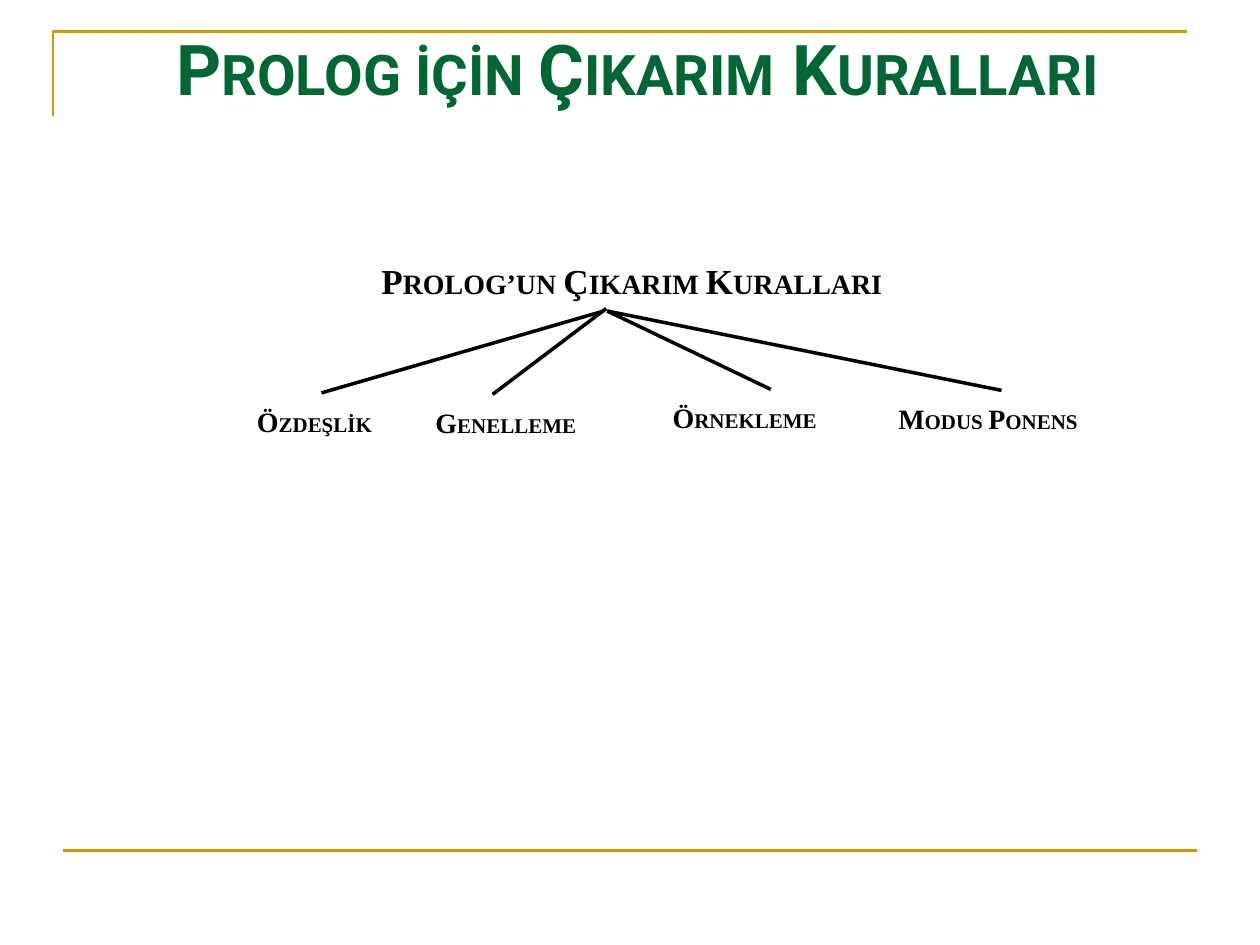
from lxml.etree import SubElement
from pptx import Presentation
from pptx.dml.color import RGBColor as Color
from pptx.enum.shapes import MSO_CONNECTOR as Connector, MSO_SHAPE as Shape
from pptx.enum.text import MSO_ANCHOR as Anchor, PP_ALIGN as Align
from pptx.oxml.ns import qn
from pptx.util import Cm, Pt

# Content: "|" switches between large and small capitals; lengths are in cm
TITLE = ("P|ROLOG İÇİN |Ç|IKARIM| K|URALLARI ", (0.89, 0.33, 24.21, 2.06))
ROOT = ("P|ROLOG’UN |Ç|IKARIM |K|URALLARI", (7.44, 4.98, 11.68, 1.17))
# Rule name, its box, start of its branch, x of the branch end
RULES = [
    ("Ö|ZDEŞLİK", (4.93, 7.92, 3.1, 0.79), (12.17, 6.27), 6.48),
    ("G|ENELLEME", (8.53, 7.95, 4.6, 0.79), (12.22, 6.22), 9.93),
    ("Ö|RNEKLEME", (13.31, 7.85, 4.5, 0.99), (12.24, 6.27), 15.54),
    ("M|ODUS |P|ONENS", (17.86, 7.87, 4.65, 1.04), (12.24, 6.27), 20.19),
]
CORNER = [(1.07, 2.34), (1.07, 0.64), (23.93, 0.64)]
FOOT_RULE = [(1.27, 17.15), (24.13, 17.15)]

BLACK = Color.from_string("000000")
THEME = {
    "paper": Color.from_string("FFFFFF"),
    "frame": (Color.from_string("CC9900"), 1.5),
    "branch": (BLACK, 2),
    "title": {"sizes": (40, 32), "font": "Roboto", "color": Color.from_string("006633"),
              "para": {"alignment": Align.CENTER}, "anchor": Anchor.MIDDLE},
    "root": {"sizes": (20, 16), "font": "Times New Roman", "color": BLACK,
             "para": {"alignment": Align.LEFT, "line_spacing": 1.15}, "anchor": Anchor.TOP},
}
THEME["rule"] = {**THEME["root"], "sizes": (16, 12)}


def set_all(target, values):
    for name, value in values.items():
        setattr(target, name, value)


def style_line(line, style):
    color, width = style
    line.color.rgb = color
    line.width = Pt(width)


def add_line(page, start, end, style):
    link = page.shapes.add_connector(Connector.STRAIGHT, *map(Cm, start + end))
    style_line(link.line, style)
    SubElement(link._element.spPr, qn("a:effectLst"))


def write(box, text, style):
    frame = box.text_frame
    set_all(frame, {"word_wrap": True, "vertical_anchor": style["anchor"]})
    para = frame.paragraphs[0]
    set_all(para, style["para"])
    for index, part in enumerate(text.split("|")):
        span = para.add_run()
        span.text = part
        set_all(span.font, {"name": style["font"], "bold": True,
                            "size": Pt(style["sizes"][index % 2])})
        span.font.color.rgb = style["color"]


def add_label(page, text, place, style):
    box = page.shapes.add_shape(Shape.RECTANGLE, *map(Cm, place))
    box.shadow.inherit = False
    box.fill.solid()
    box.fill.fore_color.rgb = THEME["paper"]
    box.line.fill.background()
    write(box, text, style)


def main():
    deck = Presentation()
    set_all(deck, {"slide_width": Cm(25.4), "slide_height": Cm(19.05)})
    page = deck.slides.add_slide(deck.slide_layouts[6])

    # Gold frame
    points = [(Cm(x), Cm(y)) for x, y in CORNER]
    builder = page.shapes.build_freeform(*points[0])
    builder.add_line_segments(points[1:], close=False)
    corner = builder.convert_to_shape()
    corner.shadow.inherit = False
    corner.fill.background()
    style_line(corner.line, THEME["frame"])
    add_line(page, *FOOT_RULE, THEME["frame"])

    # Title
    text, place = TITLE
    write(page.shapes.add_textbox(*map(Cm, place)), text, THEME["title"])

    # Tree: each branch ends at the top of its rule's box
    add_label(page, *ROOT, THEME["root"])
    for text, place, start, end_x in RULES:
        add_label(page, text, place, THEME["rule"])
        add_line(page, start, (end_x, place[1]), THEME["branch"])

    deck.save("out.pptx")


if __name__ == "__main__":
    main()
